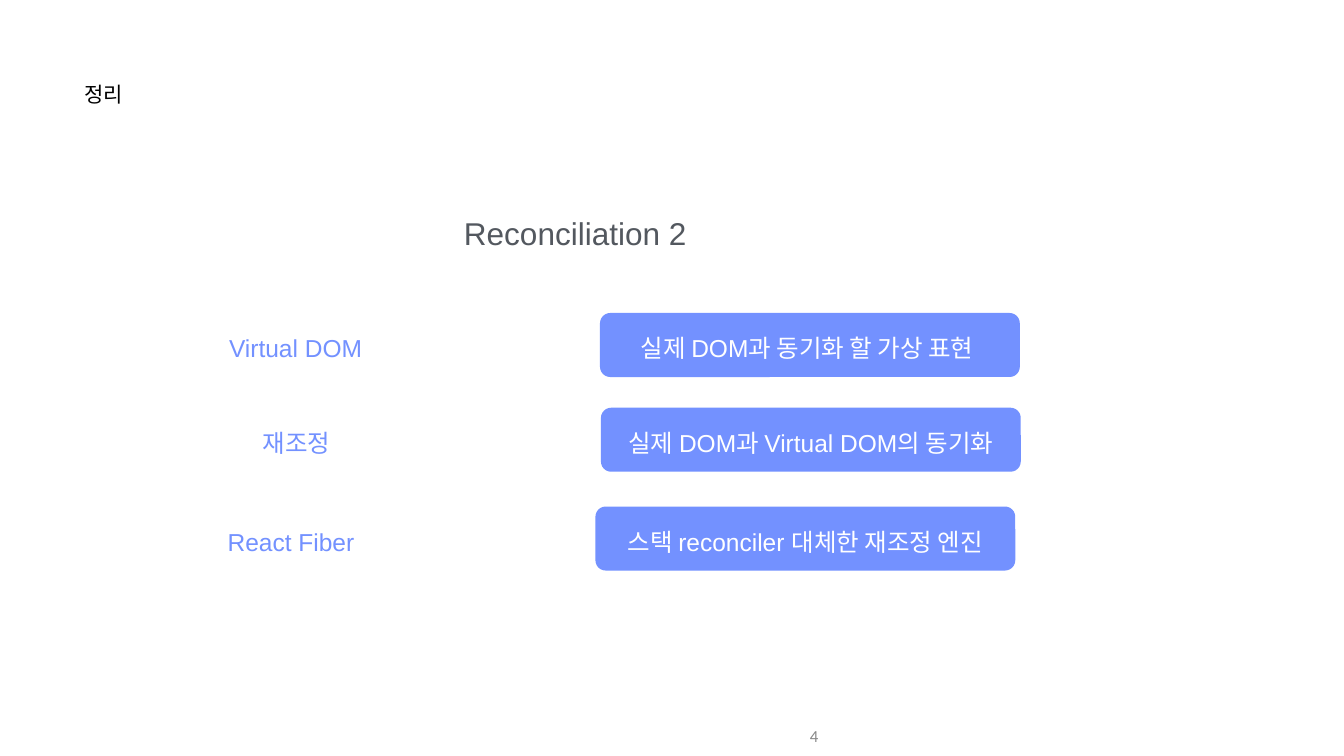
from pptx import Presentation
from pptx import util as u
from pptx.dml.color import RGBColor
from pptx.enum import shapes, text

BLACK = RGBColor(0x00, 0x00, 0x00)
SLATE = RGBColor(0x53, 0x58, 0x5F)
GRAY = RGBColor(0x88, 0x88, 0x88)
BLUE = RGBColor(0x73, 0x91, 0xFF)
WHITE = RGBColor(0xFF, 0xFF, 0xFF)

WIDTH, HEIGHT = u.Inches(26.66), u.Inches(15)
TERM_COLS, GAP_COLS, CARD_COLS = 3, 1.4, 4
ROW_COLS = TERM_COLS + GAP_COLS + CARD_COLS
TOP, MIDDLE = text.MSO_ANCHOR.TOP, text.MSO_ANCHOR.MIDDLE
LEFT, CENTER, RIGHT = text.PP_ALIGN.LEFT, text.PP_ALIGN.CENTER, text.PP_ALIGN.RIGHT

ROWS = [
    (10.28, 41.4, "Virtual DOM", "실제 DOM과 동기화 할 가상 표현 "),
    (10.35, 53.93, "재조정", "실제 DOM과 Virtual DOM의 동기화"),
    (9.94, 67, "React Fiber", "스택 reconciler 대체한 재조정 엔진"),
]


def percent_box(x, y, w, h):
    return [int(v * size / 100) for v, size in zip((x, y, w, h), (WIDTH, HEIGHT) * 2)]


def write(sp, words, size, color, align=CENTER, anchor=MIDDLE, font="Arial", top=0.01):
    tf = sp.text_frame
    tf.word_wrap = True
    tf.auto_size = text.MSO_AUTO_SIZE.NONE
    tf.vertical_anchor = anchor
    tf.margin_left = tf.margin_right = tf.margin_bottom = u.Inches(0.01)
    tf.margin_top = u.Inches(top)
    p = tf.paragraphs[0]
    p.text = words
    p.alignment = align
    p.font.size = u.Pt(size)
    p.font.name = font
    p.font.color.rgb = color


def add_heading(s, box):
    sp = s.shapes.title
    sp.left, sp.top, sp.width, sp.height = box
    write(sp, "정리", 30, BLACK, LEFT, TOP)


def add_topic(s, box):
    write(s.shapes.add_textbox(*box), "Reconciliation 2", 45, SLATE, anchor=TOP)


def add_page_number(s, box):
    sp = s.shapes.add_textbox(*box)
    write(sp, "4", 24, GRAY, RIGHT, font="Calibri")
    sp.text_frame.margin_right = u.Inches(0.1)


def add_definition(s, box, term, meaning):
    x, y, w, h = box
    col = w / ROW_COLS
    label = s.shapes.add_textbox(x, y, int(TERM_COLS * col), h)
    write(label, term, 35, BLUE, top=0.12)

    card_x = x + int((TERM_COLS + GAP_COLS) * col)
    card = s.shapes.add_shape(
        shapes.MSO_SHAPE.ROUNDED_RECTANGLE, card_x, y, int(CARD_COLS * col), h)
    card.adjustments[0] = 0.16
    card.shadow.inherit = False
    card.fill.solid()
    card.fill.fore_color.rgb = BLUE
    card.line.fill.background()
    write(card, meaning, 35, WHITE, top=0.12)


def main():
    prs = Presentation()
    prs.slide_width, prs.slide_height = WIDTH, HEIGHT
    s = prs.slides.add_slide(prs.slide_layouts[5])
    add_heading(s, percent_box(6.26, 10.67, 18.23, 7.87))
    add_topic(s, percent_box(9.9, 28.27, 65.79, 5.27))
    for x, y, term, meaning in ROWS:
        add_definition(s, percent_box(x, y, 65.6, 8.47), term, meaning)
    add_page_number(s, percent_box(38.75, 94.73, 22.51, 5.27))
    prs.save("out.pptx")


if __name__ == "__main__":
    main()
